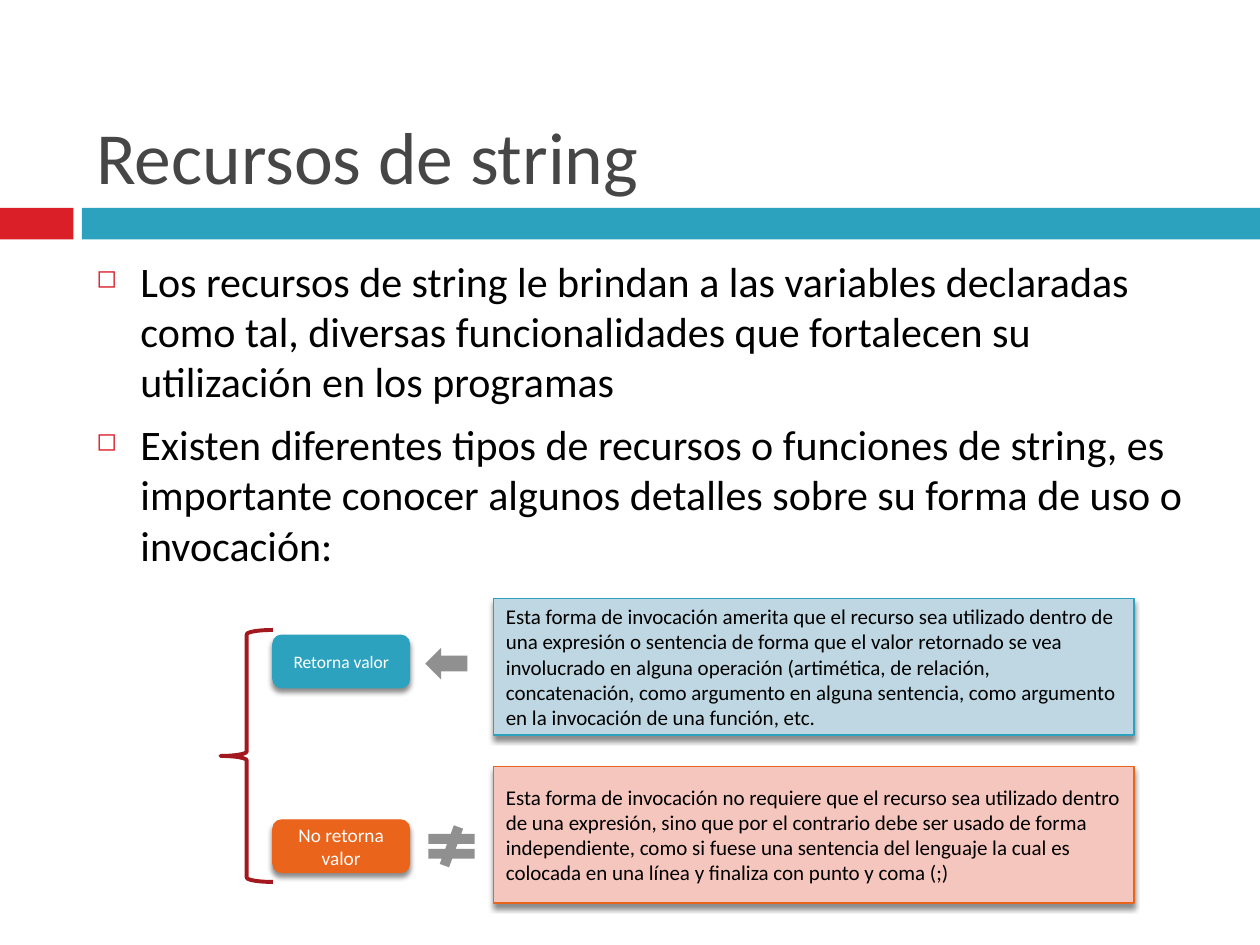
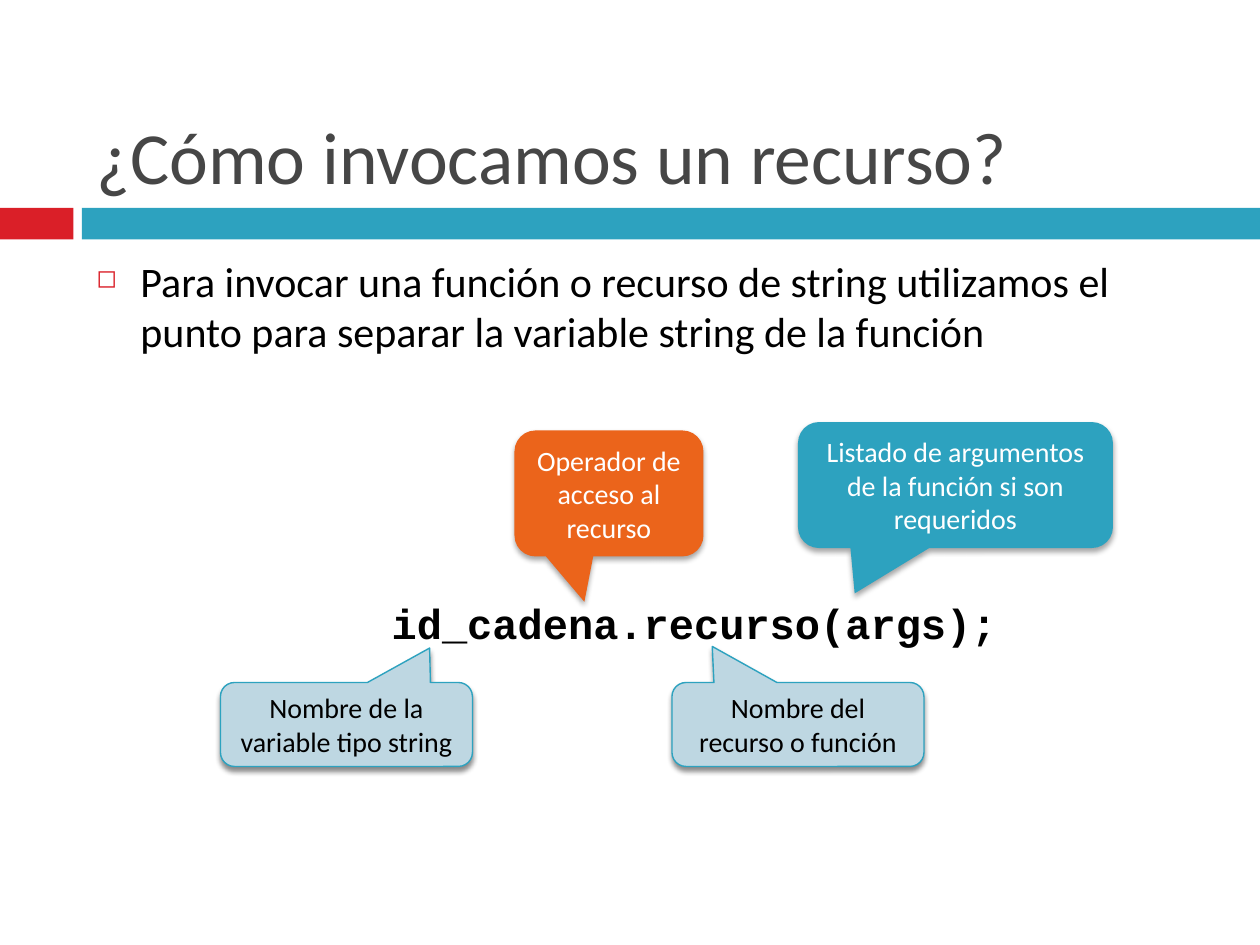
from lxml.etree import SubElement
from pptx import Presentation
from pptx.dml.color import RGBColor
from pptx.enum.shapes import MSO_SHAPE as KIND
from pptx.enum.text import MSO_ANCHOR as ANCHOR, PP_ALIGN as ALIGN
from pptx.oxml.ns import qn
from pptx.util import Pt

PX = 7620  # EMU per px, 120 px to the inch
HUES = {
    "red": "DA1F28", "teal": "2DA2BF", "orange": "EB641B",
    "sky": "BED7E2", "pink": "F5C6BD", "wine": "A3171E",
    "gray": "909090", "title": "464646", "black": "000000", "white": "FFFFFF",
}


def draw(slide, kind, box, fill=None, line=None, width=0.79, shade=None):
    """Add a preset shape; shade is the shadow's opacity and distance."""
    shape = slide.shapes.add_shape(kind, *(n * PX for n in box))
    shape.shadow.inherit = False
    if fill:
        shape.fill.solid()
        shape.fill.fore_color.rgb = RGBColor.from_string(HUES[fill])
    else:
        shape.fill.background()
    if line:
        shape.line.color.rgb = RGBColor.from_string(HUES[line])
        shape.line.width = Pt(width)
    else:
        shape.line.fill.background()
    if shade:
        alpha, dist = shade
        list_ = shape._element.spPr.find(qn("a:effectLst"))
        outer = SubElement(list_, qn("a:outerShdw"), blurRad=str(Pt(3)),
                           dist=str(Pt(dist)), dir="5400000", rotWithShape="0")
        color = SubElement(outer, qn("a:srgbClr"), val=HUES["black"])
        SubElement(color, qn("a:alpha"), val=str(alpha * 1000))
    return shape


def write(shape, *texts, size, hue="black", font="Calibri", bold=False,
          align=ALIGN.LEFT, anchor=ANCHOR.MIDDLE, bullet=False, wrap=True, inset=12):
    """Fill a shape or text box, one paragraph for each text."""
    frame = shape.text_frame
    frame.word_wrap = wrap
    frame.vertical_anchor = anchor
    frame.margin_left = frame.margin_right = inset * PX
    frame.margin_top = frame.margin_bottom = inset // 2 * PX
    for i, text in enumerate(texts):
        para = frame.add_paragraph() if i else frame.paragraphs[0]
        para.alignment = align
        if i:
            para.space_before = Pt(7)
        if bullet:
            props = para._p.get_or_add_pPr()
            props.set("marL", str(42 * PX))
            props.set("indent", str(-42 * PX))
            color = SubElement(props, qn("a:buClr"))
            SubElement(color, qn("a:srgbClr"), val=HUES["red"])
            SubElement(props, qn("a:buSzPct"), val="60000")
            SubElement(props, qn("a:buChar"), char="◻")
        run = para.add_run()
        run.text = text
        run.font.name = font
        run.font.size = Pt(size)
        run.font.bold = bold
        run.font.color.rgb = RGBColor.from_string(HUES[hue])


deck = Presentation()
deck.slide_width, deck.slide_height = 1200 * PX, 900 * PX

# Bands, title and bullets of both slides
pages = [
    ("Recursos de string", [
        "Los recursos de string le brindan a las variables declaradas como tal, "
        "diversas funcionalidades que fortalecen su utilización en los programas",
        "Existen diferentes tipos de recursos o funciones de string, es importante "
        "conocer algunos detalles sobre su forma de uso o invocación:",
    ]),
    ("¿Cómo invocamos un recurso?", [
        "Para invocar una función o recurso de string utilizamos el punto para "
        "separar la variable string de la función",
    ]),
]
for title, points in pages:
    slide = deck.slides.add_slide(deck.slide_layouts[6])
    draw(slide, KIND.RECTANGLE, (0, 198, 70, 30), "red")
    draw(slide, KIND.RECTANGLE, (78, 198, 1122, 30), "teal")
    head = slide.shapes.add_textbox(80 * PX, 20 * PX, 1070 * PX, 176 * PX)
    write(head, title, size=42, hue="title", anchor=ANCHOR.BOTTOM)
    body = slide.shapes.add_textbox(80 * PX, 237 * PX, 1070 * PX, 573 * PX)
    write(body, *points, size=24, anchor=ANCHOR.TOP, bullet=True)
types, call = deck.slides

# Slide 1: the two forms of call
draw(types, KIND.LEFT_BRACE, (210, 600, 50, 240), line="wine", width=2.25)
forms = [
    ("Retorna valor", 10, 605, "teal", 570, "sky",
     "Esta forma de invocación amerita que el recurso sea utilizado dentro de una "
     "expresión o sentencia de forma que el valor retornado se vea involucrado en "
     "alguna operación (artimética, de relación, concatenación, como argumento en "
     "alguna sentencia, como argumento en la invocación de una función, etc."),
    ("No retorna valor", 11, 781, "orange", 730, "pink",
     "Esta forma de invocación no requiere que el recurso sea utilizado dentro de "
     "una expresión, sino que por el contrario debe ser usado de forma "
     "independiente, como si fuese una sentencia del lenguaje la cual es colocada "
     "en una línea y finaliza con punto y coma (;)"),
]
for name, size, tag_y, hue, note_y, tint, text in forms:
    tag = draw(types, KIND.ROUNDED_RECTANGLE, (260, tag_y, 130, 50), hue, hue,
               shade=(45, 2.4))
    write(tag, name, size=size, hue="white", align=ALIGN.CENTER)
    note = draw(types, KIND.RECTANGLE, (470, note_y, 610, 130), tint, hue,
                shade=(45, 2.4))
    write(note, text, size=12)
draw(types, KIND.MATH_NOT_EQUAL, (400, 786, 60, 40), "gray")
draw(types, KIND.LEFT_ARROW, (405, 617, 40, 30), "gray")

# Slide 2: the call and its labelled parts
code = call.shapes.add_textbox(373 * PX, 569 * PX, 590 * PX, 33 * PX)
write(code, "id_cadena.recurso(args);", size=24, font="Courier New", bold=True,
      anchor=ANCHOR.TOP, wrap=False, inset=0)
parts = [
    ("Nombre de la variable tipo string", (210, 650, 240, 80), (0.33, -0.91),
     "sky", "teal", "black", (45, 2.4)),
    ("Nombre del recurso o función", (640, 650, 240, 80), (-0.34, -0.93),
     "sky", "teal", "black", (45, 2.4)),
    ("Operador de acceso al recurso", (490, 410, 180, 120), (-0.13, 0.86),
     "orange", None, "white", (35, 2)),
    ("Listado de argumentos de la función si son requeridos", (760, 402, 300, 120),
     (-0.32, 0.86), "teal", None, "white", (35, 2)),
]
for text, box, tip, fill, line, hue, shade in parts:
    label = draw(call, KIND.ROUNDED_RECTANGULAR_CALLOUT, box, fill, line, shade=shade)
    label.adjustments[0], label.adjustments[1] = tip
    write(label, text, size=16, hue=hue, align=ALIGN.CENTER)

deck.save("out.pptx")
